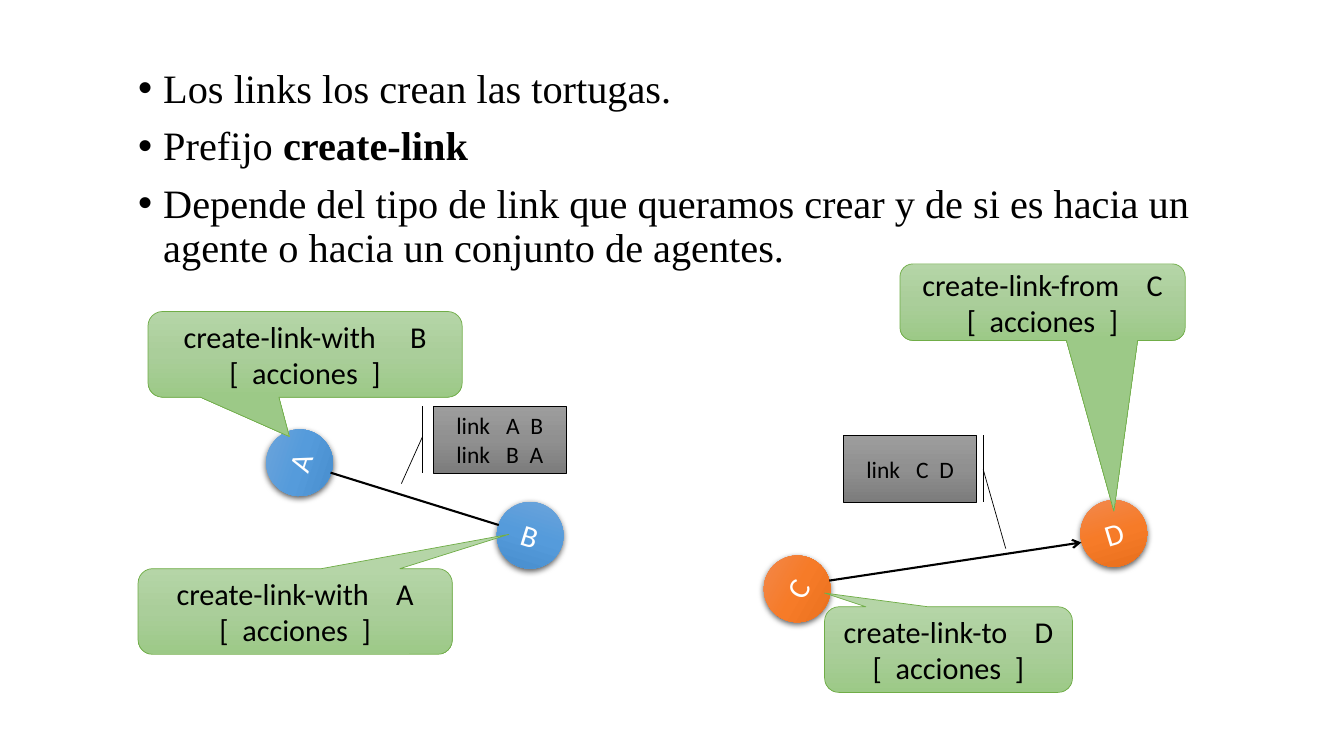
"""Build a slide on how turtles create links between agents."""
from copy import deepcopy

from lxml.etree import SubElement
from pptx import Presentation
from pptx.dml.color import RGBColor
from pptx.enum.shapes import MSO_CONNECTOR, MSO_SHAPE
from pptx.enum.text import MSO_ANCHOR, MSO_AUTO_SIZE, PP_ALIGN
from pptx.oxml.ns import qn
from pptx.util import Cm, Pt

BLACK = RGBColor(0x00, 0x00, 0x00)
WHITE = RGBColor(0xFF, 0xFF, 0xFF)
GREEN_LINE = RGBColor(0x70, 0xAD, 0x47)
ORANGES = [RGBColor(0xF1, 0x8C, 0x57), RGBColor(0xF6, 0x7B, 0x28), RGBColor(0xE5, 0x6C, 0x19)]
BLUES = [RGBColor(0x71, 0xA6, 0xDB), RGBColor(0x55, 0x9B, 0xDB), RGBColor(0x44, 0x8A, 0xCA)]
GREENS = [RGBColor(0xB5, 0xD5, 0xA7), RGBColor(0xAA, 0xCE, 0x9A), RGBColor(0x9C, 0xC9, 0x87)]
GREYS = [RGBColor(0x9D, 0x9D, 0x9D), RGBColor(0x90, 0x90, 0x90), RGBColor(0x7C, 0x7C, 0x7C)]


def add_gradient_shape(page, kind, place, colours, lines, size, text_colour):
    """Add a shape with a vertical three-colour gradient and centred text."""
    shape = page.shapes.add_shape(kind, *[Cm(length) for length in place])
    shape.shadow.inherit = False
    shape.fill.gradient()
    shape.fill.gradient_angle = 270
    stop_list = shape._element.spPr.find(".//" + qn("a:gsLst"))
    stop_list.insert(1, deepcopy(stop_list[0]))
    for stop, position, colour in zip(shape.fill.gradient_stops, (0, 0.5, 1), colours):
        stop.position = position
        stop.color.rgb = colour
    frame = shape.text_frame
    frame.word_wrap = True
    frame.vertical_anchor = MSO_ANCHOR.MIDDLE
    for index, line in enumerate(lines):
        para = frame.add_paragraph() if index else frame.paragraphs[0]
        para.text = line
        para.alignment = PP_ALIGN.CENTER
        para.font.name = "Calibri"
        para.font.size = Pt(size)
        para.font.color.rgb = text_colour
    return shape


deck = Presentation()
deck.slide_width, deck.slide_height = Cm(33.87), Cm(19.05)
page = deck.slides.add_slide(deck.slide_layouts[1])
title = page.shapes.title._element
title.getparent().remove(title)

body = page.placeholders[1]
body.left, body.top, body.width, body.height = Cm(3.23), Cm(1.6), Cm(27.43), Cm(15.42)
body.text_frame.word_wrap = True
body.text_frame.auto_size = MSO_AUTO_SIZE.NONE
body.text_frame.vertical_anchor = MSO_ANCHOR.TOP
bullets = [
    [("Los links los crean las tortugas.", False)],
    [("Prefijo ", False), ("create-link", True)],
    [("Depende del tipo de link que queramos crear y de si es hacia un "
      "agente o hacia un conjunto de agentes.", False)],
]
for index, spans in enumerate(bullets):
    para = body.text_frame.add_paragraph() if index else body.text_frame.paragraphs[0]
    properties = para._p.get_or_add_pPr()
    properties.set("marL", str(Cm(0.63)))
    properties.set("indent", str(Cm(-0.63)))
    SubElement(properties, qn("a:buFont")).set("typeface", "Arial")
    SubElement(properties, qn("a:buChar")).set("char", "•")
    para.line_spacing = 0.9
    para.space_before = Pt(10 if index else 0)
    para.font.name = "Times New Roman"
    para.font.size = Pt(28.8)
    para.font.color.rgb = BLACK
    for text, bold in spans:
        span = para.add_run()
        span.text = text
        if bold:
            span.font.bold = True

turtles = [
    ("C", 19.25, 14, 299.9, ORANGES),
    ("D", 27.23, 12.6, 343.3, ORANGES),
    ("A", 6.71, 10.82, 288.4, BLUES),
    ("B", 12.52, 12.65, 17.3, BLUES),
]
for name, left, top, rotation, colours in turtles:
    turtle = add_gradient_shape(page, MSO_SHAPE.OVAL, (left, top, 1.68, 1.68),
                                colours, [name], 21.6, WHITE)
    turtle.rotation = rotation
    turtle.line.fill.background()
    effects = turtle._element.spPr.find(qn("a:effectLst"))
    shadow = SubElement(effects, qn("a:outerShdw"), blurRad=str(Pt(4.5)), dist=str(Pt(1.5)),
                        dir="5400000", algn="ctr", rotWithShape="0")
    shade = SubElement(shadow, qn("a:srgbClr"), val="000000")
    SubElement(shade, qn("a:alpha"), val="63000")

links = [((20.9, 14.63, 27.25, 13.67), True), ((8.33, 11.91, 12.57, 13.23), False)]
for ends, directed in links:
    link = page.shapes.add_connector(MSO_CONNECTOR.STRAIGHT, *[Cm(length) for length in ends])
    link.line.color.rgb = BLACK
    link.line.width = Pt(1.5)
    properties = link._element.spPr
    if directed:
        SubElement(properties.find(qn("a:ln")), qn("a:tailEnd"), type="arrow")
    SubElement(properties, qn("a:effectLst"))

BUBBLE = MSO_SHAPE.ROUNDED_RECTANGULAR_CALLOUT
LABEL = MSO_SHAPE.LINE_CALLOUT_1_BORDER_AND_ACCENT_BAR
ACTIONS = "[  acciones  ]"
callouts = [
    (BUBBLE, (3.73, 7.85, 7.92, 2.16), (-0.05, 0.96, 0.17), ["create-link-with     B", ACTIONS]),
    (BUBBLE, (20.78, 15.29, 6.25, 2.16), (-0.5, -0.66, 0.17), ["create-link-to    D", ACTIONS]),
    (BUBBLE, (22.68, 6.65, 7.19, 1.93), (0.25, 2.73, 0.17), ["create-link-from    C", ACTIONS]),
    (BUBBLE, (3.48, 14.33, 7.92, 2.16), (0.68, -0.9, 0.17), ["create-link-with    A", ACTIONS]),
    (LABEL, (10.92, 10.24, 3.35, 1.68), (0.45, -0.08, 1.16, -0.24), ["link   A  B", "link   B  A"]),
    (LABEL, (21.26, 10.97, 3.35, 1.68), (0.51, 1.05, 1.7, 1.22), ["link   C  D"]),
]
for kind, place, pointer, lines in callouts:
    colours, line_colour, size = (GREENS, GREEN_LINE, 21.6) if kind == BUBBLE else (GREYS, BLACK, 16.8)
    callout = add_gradient_shape(page, kind, place, colours, lines, size, BLACK)
    callout.line.color.rgb = line_colour
    callout.line.width = Pt(0.5)
    for index, value in enumerate(pointer):
        callout.adjustments[index] = value

deck.save("out.pptx")
